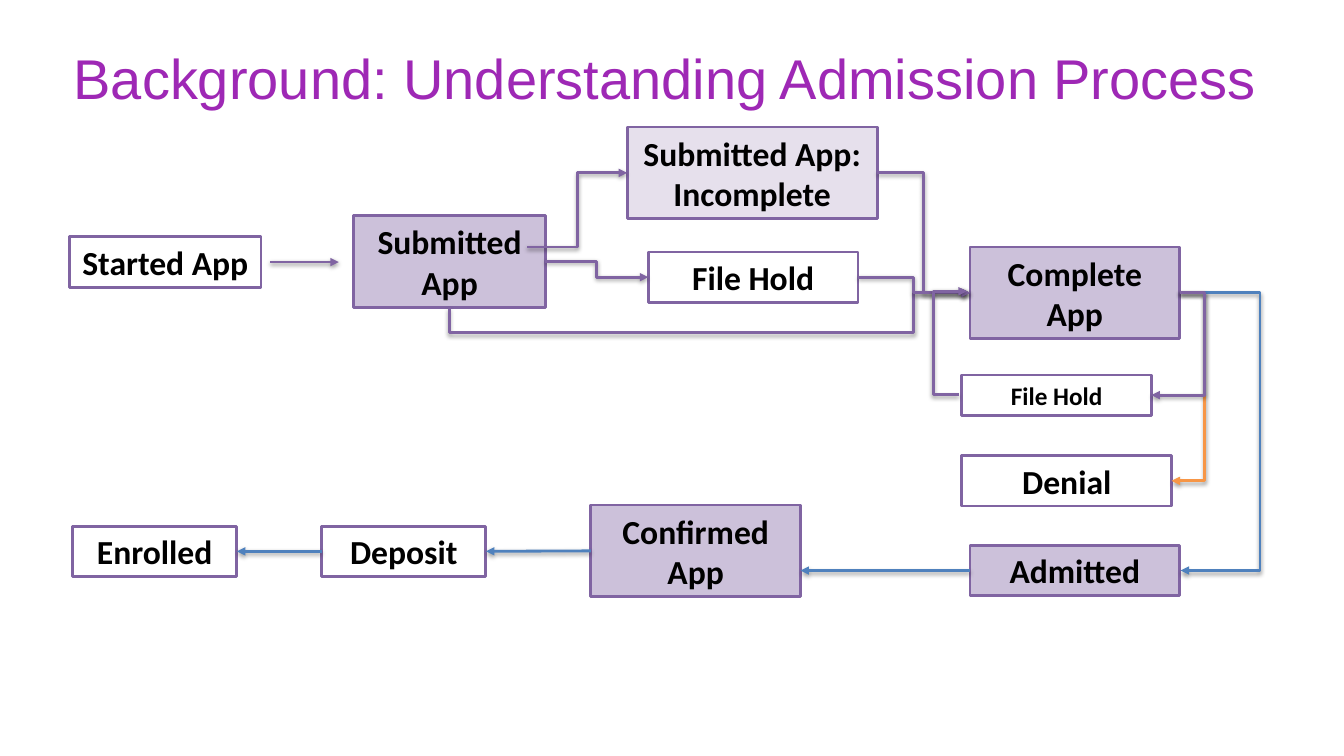
from dataclasses import dataclass

from lxml import etree
from pptx import Presentation
from pptx.dml.color import RGBColor
from pptx.enum.shapes import MSO_CONNECTOR, MSO_SHAPE
from pptx.enum.text import MSO_ANCHOR, MSO_AUTO_SIZE, PP_ALIGN
from pptx.oxml import parse_xml
from pptx.oxml.ns import qn
from pptx.util import Pt

STRAIGHT, ELBOW = MSO_CONNECTOR.STRAIGHT, MSO_CONNECTOR.ELBOW
RECTANGLE = MSO_SHAPE.RECTANGLE
CENTER, LEFT = PP_ALIGN.CENTER, PP_ALIGN.LEFT
TOP, MIDDLE = MSO_ANCHOR.TOP, MSO_ANCHOR.MIDDLE
FIT_SHAPE, NO_FIT = MSO_AUTO_SIZE.SHAPE_TO_FIT_TEXT, MSO_AUTO_SIZE.NONE


@dataclass(frozen=True)
class Theme:
    title: str = "9E28B5"
    ink: str = "000000"
    white: str = "FFFFFF"
    lilac: str = "CCC1DA"
    pale: str = "E6E0EC"
    purple: str = "8064A2"
    blue: str = "4F81BD"
    orange: str = "F79646"
    title_font: str = "Arial"
    body_font: str = "Calibri"
    title_size: int = 40
    large: int = 24
    small: int = 18
    line: int = 2


THEME = Theme()
TITLE = "Background: Understanding Admission Process"
TITLE_AREA = (67, 30, 1200, 125)

# name: (text, (left, top, width, height), fill, text size)
STEPS = {
    "started": ("Started App", (69, 235, 190, 50), THEME.white, THEME.large),
    "submitted": ("Submitted App", (351, 214, 190, 91), THEME.lilac, THEME.large),
    "incomplete": ("Submitted App: Incomplete", (622, 126, 248, 91), THEME.pale, THEME.large),
    "early hold": ("File Hold", (643, 250, 208, 50), THEME.white, THEME.large),
    "complete": ("Complete App", (962, 245, 208, 91), THEME.lilac, THEME.large),
    "denial": ("Denial", (954, 452, 208, 50), THEME.white, THEME.large),
    "admitted": ("Admitted", (962, 541, 208, 50), THEME.lilac, THEME.large),
    "confirmed": ("Confirmed App", (586, 501, 208, 91), THEME.lilac, THEME.large),
    "enrolled": ("Enrolled", (72, 522, 163, 50), THEME.white, THEME.large),
    "deposit": ("Deposit", (319, 522, 163, 50), THEME.white, THEME.large),
    "late hold": ("File Hold", (954, 372, 188, 40), None, THEME.small),
}

# (start, end, x of the vertical run or None, colour); an end is a point or (step, side)
ARROWS = [
    ((268, 260), (336, 260), None, THEME.purple),
    (("submitted", "right"), ("early hold", "left"), 592, THEME.purple),
    ((523, 245), ("incomplete", "left"), 573, THEME.purple),
    (("incomplete", "right"), ("complete", "left"), 916, THEME.purple),
    (("early hold", "right"), ("complete", "left"), 906, THEME.purple),
    (("complete", "right"), ("denial", "right"), 1195, THEME.orange),
    (("complete", "right"), (1171, 566), 1251, THEME.blue),
    (("admitted", "left"), (794, 566), None, THEME.blue),
    (("confirmed", "left"), ("deposit", "right"), None, THEME.blue),
    (("deposit", "left"), ("enrolled", "right"), None, THEME.blue),
    ((951, 391), (959, 289), 926, THEME.purple),
    (("complete", "right"), ("late hold", "right"), 1195, THEME.purple),
]
# Runs under the early hold: down to y, across to x, then into the next step
BYPASS = (("submitted", "bottom"), ("complete", "left"), 330, 906)

SHADOW = (
    '<a:effectLst xmlns:a="http://schemas.openxmlformats.org/drawingml/2006/main">'
    '<a:outerShdw blurRad="40000" dist="20000" dir="5400000" rotWithShape="0">'
    '<a:srgbClr val="000000"><a:alpha val="38000"/></a:srgbClr>'
    "</a:outerShdw></a:effectLst>"
)


def px(length):
    """Turn px, 100 to the inch, into EMU."""
    return round(length * 9144)


def color(value):
    return RGBColor.from_string(value)


def write(paragraph, text, font, size, tint, bold=False):
    span = paragraph.add_run()
    span.text = text
    span.font.name = font
    span.font.size = Pt(size)
    span.font.bold = bold
    span.font.color.rgb = color(tint)


def add_title(page):
    title = page.shapes.title
    title.left, title.top, title.width, title.height = map(px, TITLE_AREA)
    frame = title.text_frame
    frame.word_wrap = True
    frame.auto_size = NO_FIT
    frame.vertical_anchor = TOP
    frame.margin_left, frame.margin_top, frame.margin_right = px(6), px(13), 0
    para = frame.paragraphs[0]
    para.alignment = LEFT
    write(para, TITLE, THEME.title_font, THEME.title_size, THEME.title)


def add_step(page, text, area, fill, size):
    box = page.shapes.add_shape(RECTANGLE, *map(px, area))
    box.shadow.inherit = False
    if fill:
        box.fill.solid()
        box.fill.fore_color.rgb = color(fill)
    else:
        box.fill.background()
    box.line.color.rgb = color(THEME.purple)
    box.line.width = Pt(THEME.line)
    frame = box.text_frame
    frame.word_wrap = True
    frame.auto_size = FIT_SHAPE
    frame.vertical_anchor = MIDDLE
    para = frame.paragraphs[0]
    para.alignment = CENTER
    write(para, text, THEME.body_font, size, THEME.ink, bold=True)


def locate(end):
    """Return the point of an arrow end, given as a point or as (step, side)."""
    if end[0] not in STEPS:
        return end
    left, top, width, height = STEPS[end[0]][1]
    return {
        "left": (left, top + height / 2),
        "right": (left + width, top + height / 2),
        "bottom": (left + width / 2, top + height),
    }[end[1]]


def add_arrow(page, kind, start, end, tint, bends=()):
    """Draw an arrow; bends are shares of the connector's width or height."""
    arrow = page.shapes.add_connector(kind, *map(px, (*start, *end)))
    arrow.line.color.rgb = color(tint)
    arrow.line.width = Pt(THEME.line)
    etree.SubElement(arrow.line._get_or_add_ln(), qn("a:tailEnd"), type="triangle")
    properties = arrow._element.spPr
    properties.append(parse_xml(SHADOW))
    guides = properties.find(qn("a:prstGeom")).get_or_add_avLst()
    for number, share in enumerate(bends, 1):
        etree.SubElement(guides, qn("a:gd"), name=f"adj{number}",
                         fmla=f"val {round(share * 100000)}")
    return arrow


def add_bypass(page):
    """Draw the four-part arrow as a bent connector turned by a quarter."""
    start, end = locate(BYPASS[0]), locate(BYPASS[1])
    low, turn = BYPASS[2:]
    across, rise = end[0] - start[0], start[1] - end[1]
    middle_x, middle_y = (start[0] + end[0]) / 2, (start[1] + end[1]) / 2
    arrow = add_arrow(
        page, ELBOW,
        (middle_x + rise / 2, middle_y + across / 2),
        (middle_x - rise / 2, middle_y - across / 2),
        THEME.purple,
        ((start[1] - low) / rise, (turn - start[0]) / across),
    )
    properties = arrow._element.spPr
    properties.find(qn("a:prstGeom")).set("prst", "bentConnector4")
    properties.find(qn("a:xfrm")).set("rot", "5400000")


def main():
    deck = Presentation()
    deck.slide_width, deck.slide_height = px(1333), px(750)
    page = deck.slides.add_slide(deck.slide_layouts[5])
    add_title(page)
    for step in STEPS.values():
        add_step(page, *step)
    add_bypass(page)
    for first, last, turn, tint in ARROWS:
        start, end = locate(first), locate(last)
        if turn is None:
            add_arrow(page, STRAIGHT, start, end, tint)
        else:
            share = (turn - start[0]) / (end[0] - start[0])
            add_arrow(page, ELBOW, start, end, tint, (share,))
    deck.save("out.pptx")


if __name__ == "__main__":
    main()
